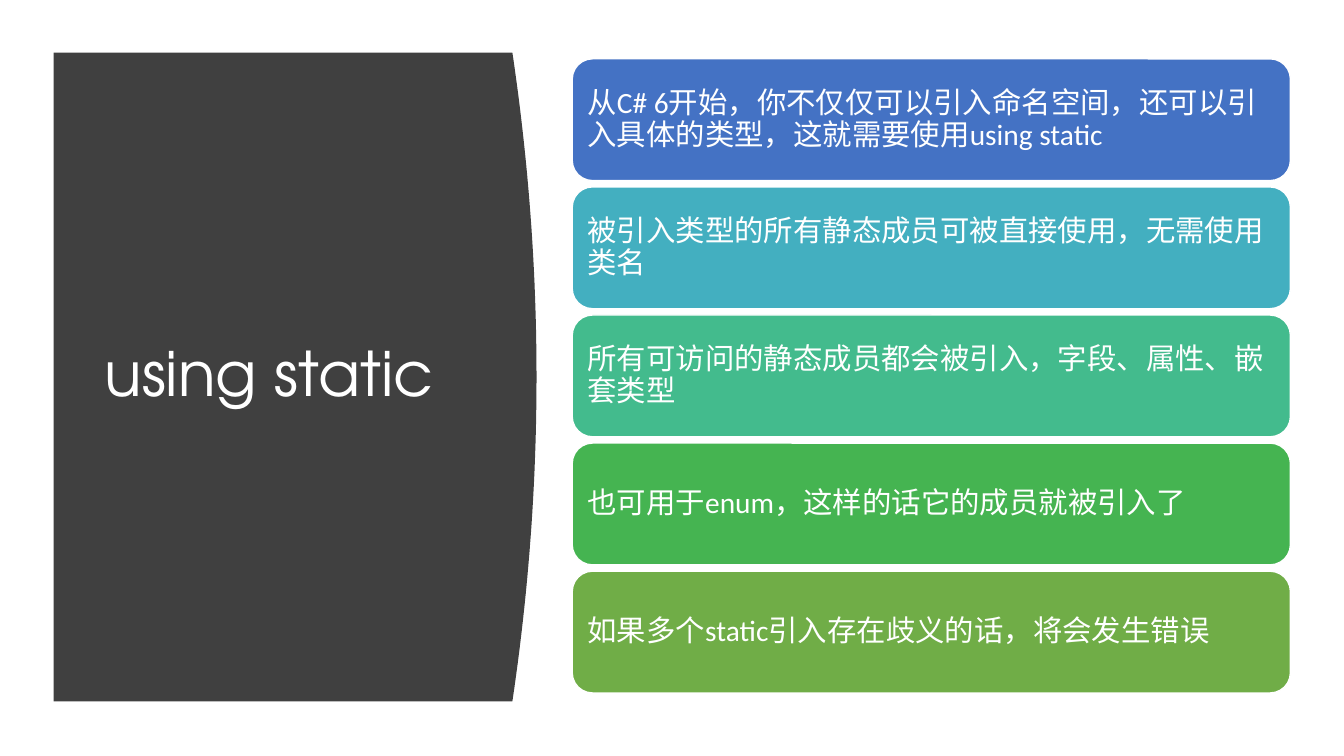
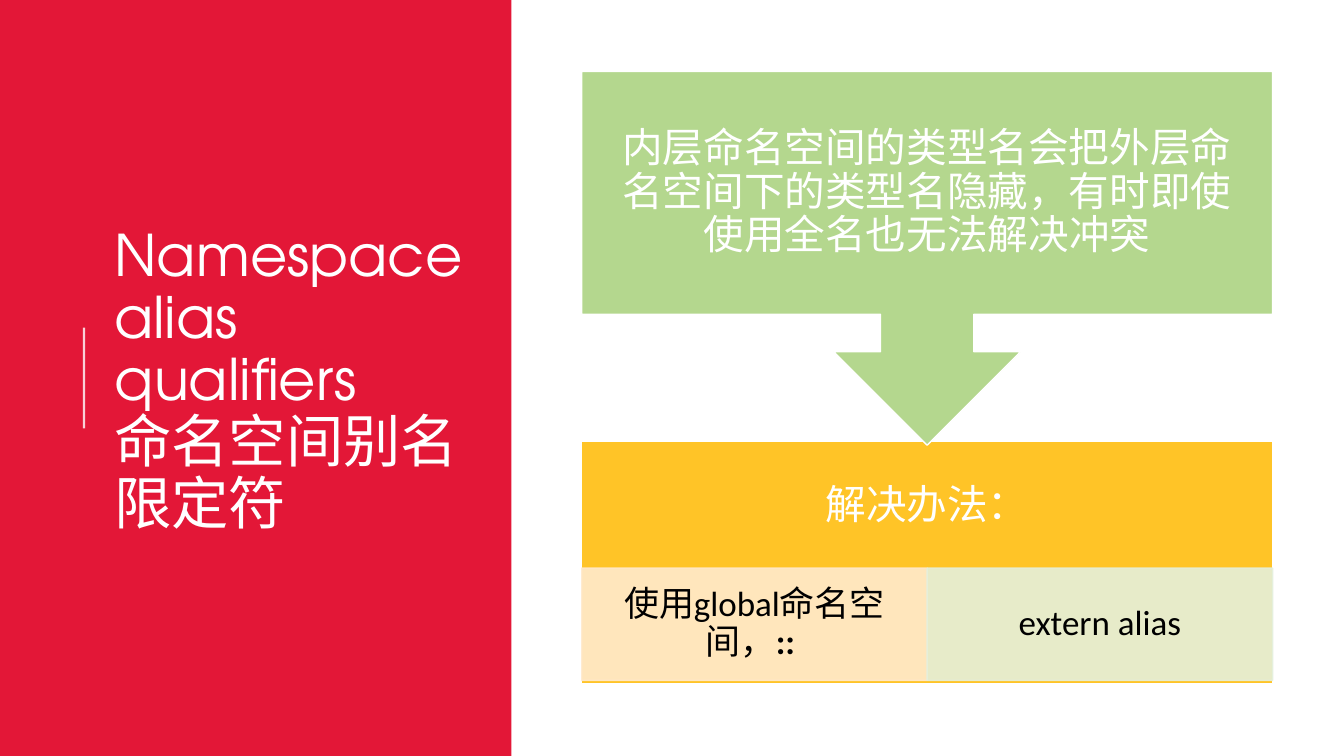
from lxml import etree
from pptx import Presentation
from pptx.dml.color import RGBColor
from pptx.enum.shapes import MSO_CONNECTOR, MSO_SHAPE
from pptx.enum.text import MSO_ANCHOR, MSO_AUTO_SIZE, PP_ALIGN
from pptx.oxml.ns import qn
from pptx.util import Pt

PX = 9525  # EMU in one px, 96 px to the inch
TITLE_FONT, BODY_FONT = "TeX Gyre Adventor", "Calibri"
COLORS = {
    "white": "FFFFFF", "black": "000000", "charcoal": "404040", "red": "E31737",
    "blue": "4472C4", "teal": "43AFC0", "mint": "43BB8D", "green": "45B451",
    "olive": "70AD47", "lime": "B4D78E", "amber": "FFC427",
    "cream": "FFEACD", "pale": "E5F0DB",
}


def write(shape, text, font, size, color, align, insets=None):
    """Fill a shape with one styled paragraph; insets are left, top, right, bottom in px."""
    frame = shape.text_frame
    frame.text = text
    frame.word_wrap = True
    frame.auto_size = MSO_AUTO_SIZE.NONE
    frame.vertical_anchor = MSO_ANCHOR.MIDDLE
    if insets:
        (frame.margin_left, frame.margin_top,
         frame.margin_right, frame.margin_bottom) = [side * PX for side in insets]
    para = frame.paragraphs[0]
    para.alignment = align
    para.line_spacing = 0.9
    for span in para.runs:
        span.font.name = font
        span.font.size = Pt(size)
        span.font.color.rgb = RGBColor.from_string(COLORS[color])


def paint(shape, fill, line=None, opacity=100):
    """Give a shape a flat fill and, if named, a 1 pt outline."""
    shape.shadow.inherit = False
    shape.fill.solid()
    shape.fill.fore_color.rgb = RGBColor.from_string(COLORS[fill])
    if line:
        shape.line.width = Pt(1)
        shape.line.color.rgb = RGBColor.from_string(COLORS[line])
    else:
        shape.line.fill.background()
    if opacity < 100:
        for color in shape._element.spPr.iter(qn("a:srgbClr")):
            etree.SubElement(color, qn("a:alpha")).set("val", str(opacity * 1000))


deck = Presentation()
deck.slide_width, deck.slide_height = 1280 * PX, 720 * PX
title_only = deck.slide_layouts[5]

# Both pages: a coloured panel on the left with the title on it
pages = []
for text, size, left, top, width, height in [
    ("using static", 44, 90, 107, 359, 503),
    ("Namespace alias qualifiers \v命名空间别名限定符", 41, 99, 75, 354, 578),
]:
    page = deck.slides.add_slide(title_only)
    title = page.shapes.title
    title.left, title.top, title.width, title.height = [
        side * PX for side in (left, top, width, height)]
    write(title, text, TITLE_FONT, size, "white", PP_ALIGN.LEFT)
    pages.append(page)
static_page, alias_page = pages

# Page 1: panel with a bulging right edge, sent behind the title
left, top, right, bottom, bulge, steps = 51, 50, 488, 668, 23, 48
edge = []
for step in range(steps + 1):
    t = step / steps
    edge.append(((right + 4 * bulge * t * (1 - t)) * PX, (top + (bottom - top) * t) * PX))
outline = static_page.shapes.build_freeform(left * PX, top * PX)
outline.add_line_segments(edge + [(left * PX, bottom * PX)], close=True)
panel = outline.convert_to_shape()
paint(panel, "charcoal")
static_page.shapes._spTree.insert(2, panel._element)

cards = [
    ("blue", "从C# 6开始，你不仅仅可以引入命名空间，还可以引入具体的类型，这就需要使用using static"),
    ("teal", "被引入类型的所有静态成员可被直接使用，无需使用类名"),
    ("mint", "所有可访问的静态成员都会被引入，字段、属性、嵌套类型"),
    ("green", "也可用于enum，这样的话它的成员就被引入了"),
    ("olive", "如果多个static引入存在歧义的话，将会发生错误"),
]
for row, (color, text) in enumerate(cards):
    card = static_page.shapes.add_shape(
        MSO_SHAPE.ROUNDED_RECTANGLE, 545 * PX, (56 + 122 * row) * PX, 684 * PX, 116 * PX)
    paint(card, color, "white")
    write(card, text, BODY_FONT, 21, "white", PP_ALIGN.LEFT, (9, 9, 9, 9))

# Page 2: full-height panel and accent line
panel = alias_page.shapes.add_shape(MSO_SHAPE.RECTANGLE, 0, 0, 487 * PX, 720 * PX)
paint(panel, "red")
alias_page.shapes._spTree.insert(2, panel._element)

accent = alias_page.shapes.add_connector(
    MSO_CONNECTOR.STRAIGHT, 80 * PX, 408 * PX, 80 * PX, 312 * PX)
accent.line.width = Pt(1.5)
accent.line.color.rgb = RGBColor.from_string(COLORS["white"])
for color in accent._element.spPr.iter(qn("a:srgbClr")):
    etree.SubElement(color, qn("a:alpha")).set("val", "80000")
etree.SubElement(accent._element.spPr, qn("a:effectLst"))

# Page 2: problem callout pointing at the solutions
flow_left, flow_width = 554, 658
half = flow_width // 2
pad = 22
blocks = [
    (MSO_SHAPE.RECTANGLE, 0, 420, flow_width, 231, "amber", "white", 100,
     "解决办法：", 29, "white", (pad, pad, pad, pad + 106)),
    (MSO_SHAPE.RECTANGLE, 0, 541, half, 107, "cream", "cream", 90,
     "使用global命名空间，", 25, "black", (18, 3, 18, 3)),
    (MSO_SHAPE.RECTANGLE, half, 541, half, 107, "pale", "pale", 90,
     "extern alias", 25, "black", (18, 3, 18, 3)),
    (MSO_SHAPE.DOWN_ARROW_CALLOUT, 0, 68, flow_width, 356, "lime", "white", 100,
     "内层命名空间的类型名会把外层命名空间下的类型名隐藏，有时即使使用全名也无法解决冲突",
     29, "white", (pad, pad, pad, pad)),
]
for kind, offset, top, width, height, fill, line, opacity, text, size, ink, insets in blocks:
    block = alias_page.shapes.add_shape(
        kind, (flow_left + offset) * PX, top * PX, width * PX, height * PX)
    paint(block, fill, line, opacity)
    write(block, text, BODY_FONT, size, ink, PP_ALIGN.CENTER, insets)
    if "global" in text:
        operator = block.text_frame.paragraphs[0].add_run()
        operator.text = ":: "
        operator.font.name = BODY_FONT
        operator.font.size = Pt(size)
        operator.font.bold = True
        operator.font.color.rgb = RGBColor.from_string(COLORS[ink])

deck.save("out.pptx")
